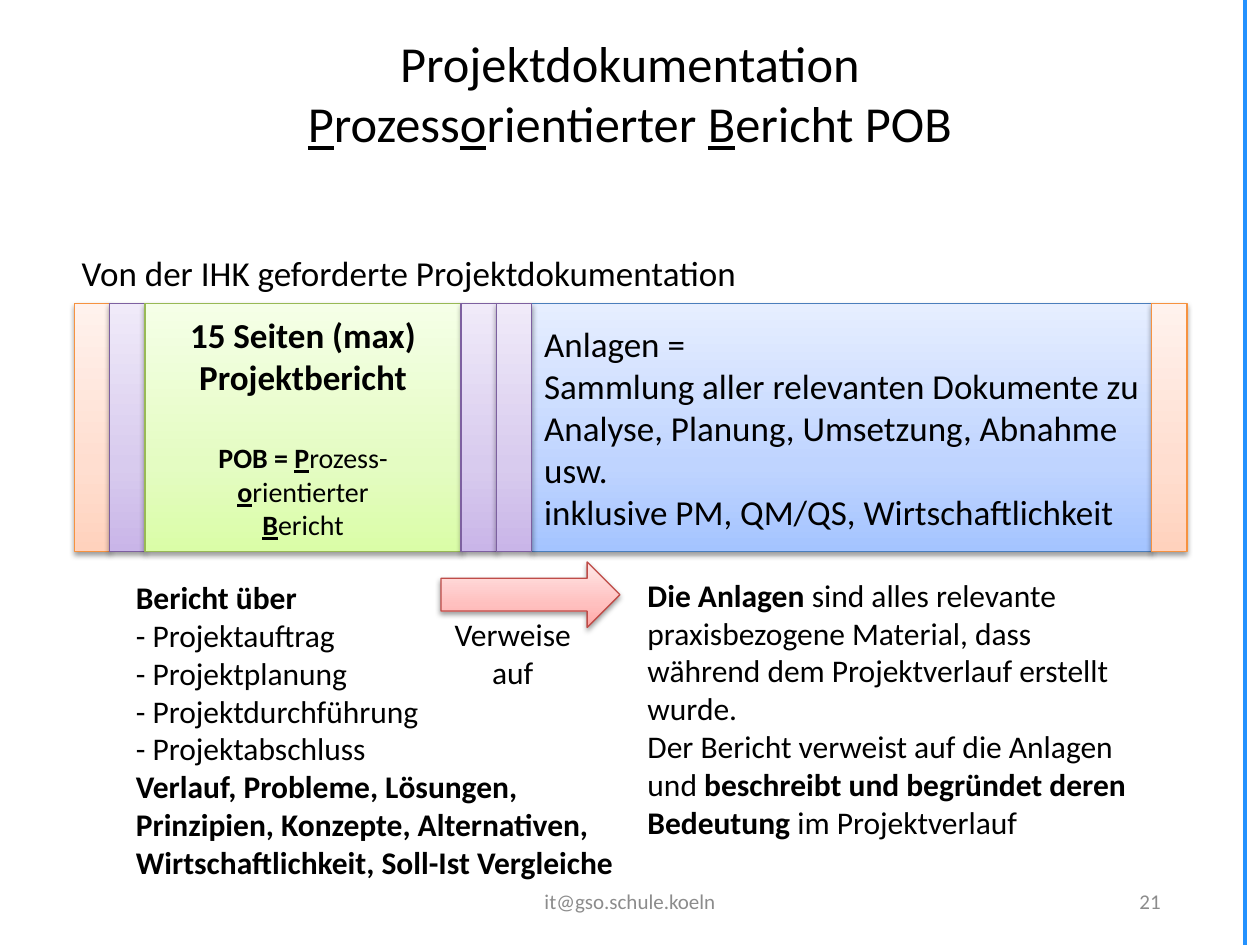
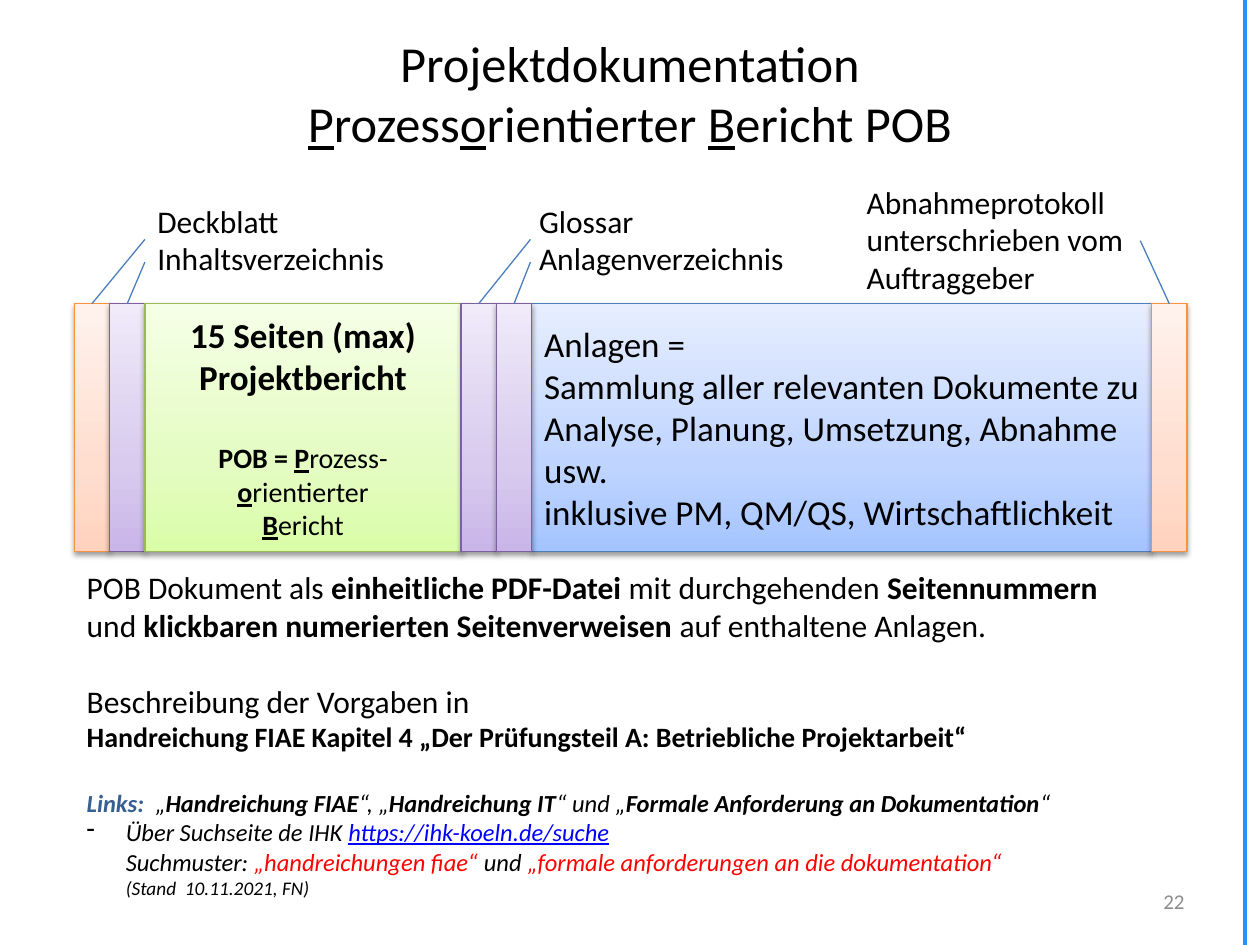
import copy
import itertools

import lxml.etree
import pptx
import pptx.dml.color
import pptx.enum.dml
import pptx.enum.shapes
import pptx.enum.text
import pptx.oxml.ns
import pptx.util

Inches, Pt = pptx.util.Inches, pptx.util.Pt
qn = pptx.oxml.ns.qn
ALIGN = pptx.enum.text.PP_ALIGN
ANCHOR = pptx.enum.text.MSO_ANCHOR
SHAPE = pptx.enum.shapes.MSO_SHAPE

COLORS = {"text": "000000", "footer": "8C8C8C", "edge": "2492FF", "callout": "4B7EBC",
          "heading": "376092", "link": "0000FF", "search": "FF0000"}
GRADIENTS = {
    "blue": ("4B7EBC", "A4C4FF", "BFD4FF", "E6EEFF"),
    "orange": ("F69240", "FFD2BD", "FFDED0", "FFF2ED"),
    "purple": ("7D60A0", "C9B5E8", "D8CBEE", "F0EAF9"),
    "green": ("98B955", "DAFDA7", "E4FCC2", "F5FFE7"),
    "red": ("BF4C48", "FFA6A5", "FFC0BF", "FFE7E7"),
}
STRIP = 0.28
BAR_TOP, BAR_HEIGHT = 2.41, 1.97
TITLE = [("Projektdokumentation\n",), ("P", "u"), ("rozess",), ("o", "u"),
         ("rientierter ",), ("B", "u"), ("ericht POB",)]
REPORT = [
    {"runs": "15 Seiten (max)\nProjektbericht", "bold": True},
    {"runs": [("POB = ", "b"), ("P", "bu"), ("rozess-\n",), ("o", "bu"),
              ("rientierter\n",), ("B", "bu"), ("ericht",)], "size": 16, "before": 24.4},
]
APPENDIX = ["Anlagen =",
            "Sammlung aller relevanten Dokumente zu Analyse, Planung, Umsetzung, Abnahme usw.\n"
            "inklusive PM, QM/QS, Wirtschaftlichkeit"]


def rgb(value):
    """Return a colour from its name or hex string."""
    return pptx.dml.color.RGBColor.from_string(COLORS.get(value, value))


class Deck:
    """Holds the style and the current slide."""

    font = "Calibri"

    def __init__(self):
        """Start an empty 10 by 7.5 inch deck."""
        self.prs = pptx.Presentation()
        self.prs.slide_width, self.prs.slide_height = Inches(10), Inches(7.5)

    def slide(self, number, number_right):
        """Add a slide with edge line, title and page number."""
        self.s = self.prs.slides.add_slide(self.prs.slide_layouts[6])
        self.line((9.88, 7.5), (9.88, 0), "edge", 2.25)
        self.text((0.5, 0.4, 9, 0.67), [TITLE], 28.8, ALIGN.CENTER, anchor=ANCHOR.MIDDLE)
        self.footer((number_right - 2.25, 6.95, 2.25, 0.4), number, ALIGN.RIGHT)

    def footer(self, box, text, align):
        """Add a grey footer text."""
        self.text(box, [text], 12, align, color="footer", anchor=ANCHOR.MIDDLE)

    def text(self, box, paragraphs, size=18, align=None, color="text",
             anchor=ANCHOR.TOP, wrap=True):
        """Add a text box; top-anchored boxes fit their text."""
        sp = self.s.shapes.add_textbox(*map(Inches, box))
        if anchor == ANCHOR.TOP:
            sp.text_frame.auto_size = pptx.enum.text.MSO_AUTO_SIZE.SHAPE_TO_FIT_TEXT
        self.fill_text(sp.text_frame, paragraphs, size, align, color, anchor, wrap)

    def fill_text(self, tf, paragraphs, size, align, color="text",
                  anchor=ANCHOR.MIDDLE, wrap=True):
        """Write paragraphs given as a string, a list of runs or a dict with options."""
        tf.word_wrap, tf.vertical_anchor = wrap, anchor
        for i, item in enumerate(paragraphs):
            opts = item if isinstance(item, dict) else {"runs": item}
            p = tf.add_paragraph() if i else tf.paragraphs[0]
            p.alignment = align or ALIGN.LEFT
            p.font.name, p.font.size = self.font, Pt(opts.get("size", size))
            p.font.color.rgb = rgb(color)
            p.font.bold, p.font.italic = opts.get("bold"), opts.get("italic")
            if "before" in opts:
                p.space_before = Pt(opts["before"])
            if "bullet" in opts:
                self.bullet(p, opts["bullet"])
            runs = opts["runs"]
            for run in [(runs,)] if isinstance(runs, str) else runs:
                self.run(p, *run)

    def run(self, p, text, flags="", color=None, size=None):
        """Add a run; flags are b for bold and u for underlined."""
        for i, part in enumerate(text.split("\n")):
            if i:
                p.add_line_break()
            if not part:
                continue
            r = p.add_run()
            r.text = part
            if "b" in flags:
                r.font.bold = True
            if "u" in flags:
                r.font.underline = True
            if color:
                r.font.color.rgb = rgb(color)
            if size:
                r.font.size = Pt(size)

    def bullet(self, p, char):
        """Give a paragraph a hanging bullet."""
        pPr = p._p.get_or_add_pPr()
        pPr.set("marL", str(Inches(0.31)))
        pPr.set("indent", str(-Inches(0.31)))
        bu = lxml.etree.Element(qn("a:buChar"), char=char)
        pPr.find(qn("a:defRPr")).addprevious(bu)

    def shape(self, kind, box, gradient):
        """Add a shape with a gradient, an outline and a soft shadow."""
        sp = self.s.shapes.add_shape(kind, *map(Inches, box))
        outline, *stops = GRADIENTS[gradient]
        sp.line.color.rgb, sp.line.width = rgb(outline), Pt(0.75)
        sp.fill.gradient()
        sp.fill.gradient_angle = 90
        spPr = sp._element.spPr
        gsLst = spPr.find(".//" + qn("a:gsLst"))
        gsLst.append(copy.deepcopy(gsLst[0]))
        for stop, position, color in zip(sp.fill.gradient_stops, (0, 0.35, 1), stops):
            stop.position, stop.color.rgb = position, rgb(color)
        sp.shadow.inherit = False
        shadow = lxml.etree.SubElement(
            spPr.find(qn("a:effectLst")), qn("a:outerShdw"), blurRad=str(Pt(3.1)),
            dist=str(Pt(1.6)), dir="5400000", rotWithShape="0")
        black = lxml.etree.SubElement(shadow, qn("a:srgbClr"), val=COLORS["text"])
        lxml.etree.SubElement(black, qn("a:alpha"), val="38000")
        return sp

    def line(self, start, end, color="callout", width=0.75, target=None):
        """Add a straight line, joined to the top of a target if given."""
        cxn = self.s.shapes.add_connector(
            pptx.enum.shapes.MSO_CONNECTOR.STRAIGHT, *map(Inches, start + end))
        cxn.line.color.rgb, cxn.line.width = rgb(color), Pt(width)
        lxml.etree.SubElement(cxn._element.spPr, qn("a:effectLst"))
        if target is not None:
            cxn.end_connect(target, 0)

    def document_bar(self):
        """Draw the parts of the document side by side and return them by name."""
        parts = [("cover", STRIP, "orange"), ("contents", STRIP, "purple"),
                 ("report", 2.51, "green"), ("glossary", STRIP, "purple"),
                 ("index", STRIP, "purple"), ("appendix", 4.92, "blue"),
                 ("acceptance", STRIP, "orange")]
        lefts = itertools.accumulate((width for _, width, _ in parts), initial=0.59)
        placed = sorted(zip(parts, lefts), key=lambda item: item[0][0] != "appendix")
        bar = {name: self.shape(SHAPE.RECTANGLE, (left, BAR_TOP, width, BAR_HEIGHT), gradient)
               for (name, width, gradient), left in placed}
        self.fill_text(bar["report"].text_frame, REPORT, 20, ALIGN.CENTER)
        self.fill_text(bar["appendix"].text_frame, APPENDIX, 20, ALIGN.LEFT)
        return bar


def report_slide(deck):
    """Build the slide on report and appendix."""
    deck.slide("21", 9.31)
    deck.footer((3.31, 6.95, 3.38, 0.4), "it@gso.schule.koeln", ALIGN.CENTER)
    deck.document_bar()
    topics = ["Projektauftrag", "Projektplanung", "Projektdurchführung", "Projektabschluss"]
    aspects = ["Verlauf, Probleme, Lösungen,", "Prinzipien, Konzepte, Alternativen,",
               "Wirtschaftlichkeit, Soll-Ist Vergleiche"]
    deck.text((0.98, 4.54, 8.42, 2.52),
              [{"runs": "Bericht über", "bold": True}]
              + ["- " + topic for topic in topics]
              + [{"runs": aspect, "bold": True} for aspect in aspects])
    deck.shape(SHAPE.RIGHT_ARROW, (3.5, 4.46, 1.42, 0.52), "red")
    deck.text((3.5, 4.83, 1.14, 0.71), ["Verweise", "auf"], align=ALIGN.CENTER, wrap=False)
    deck.text((5.04, 4.52, 4.09, 2.22), [
        [("Die Anlagen ", "b"), ("sind alles relevante praxisbezogene Material, dass "
                                 "während dem Projektverlauf erstellt wurde.",)],
        [("Der Bericht verweist auf die Anlagen und ",),
         ("beschreibt und begründet deren Bedeutung", "b"), (" im Projektverlauf",)]])
    deck.text((0.55, 1.95, 8.85, 0.44), ["Von der IHK geforderte Projektdokumentation"], 20)


def parts_slide(deck):
    """Build the slide on the document parts and rules."""
    deck.slide("22", 9.5)
    bar = deck.document_bar()
    deck.text((1.15, 1.55, 2.02, 0.71), ["Deckblatt", "Inhaltsverzeichnis"], wrap=False)
    deck.text((4.18, 1.55, 2.16, 0.71), ["Glossar", "Anlagenverzeichnis"], wrap=False)
    deck.text((6.78, 1.4, 2.26, 1.01),
              ["Abnahmeprotokoll\nunterschrieben vom\nAuftraggeber"], wrap=False)
    for name, start in [("cover", (1.15, 1.9)), ("contents", (1.15, 2.08)),
                        ("glossary", (4.21, 1.9)), ("index", (4.21, 2.08)),
                        ("acceptance", (9.05, 1.91))]:
        deck.line(start, (start[0], BAR_TOP), target=bar[name])
    deck.text((0.59, 4.46, 8.3, 2.74), [
        [("POB Dokument als ",), ("einheitliche PDF-Datei", "b"),
         (" mit durchgehenden ",), ("Seitennummern\n", "b"), ("und ",),
         ("klickbaren numerierten Seitenverweisen", "b"), (" auf enthaltene Anlagen.",)],
        {"runs": [("Beschreibung der Vorgaben in\n",),
                  ("Handreichung FIAE Kapitel 4 „Der Prüfungsteil A: "
                   "Betriebliche Projektarbeit“", "b", None, 16)], "before": 22},
        {"runs": [("Links:  ", "b", "heading"), ("„",), ("Handreichung FIAE", "b"),
                  ("“, „",), ("Handreichung IT", "b"), ("“ und „",),
                  ("Formale Anforderung an Dokumentation", "b"), ("“",)],
         "size": 14, "italic": True, "before": 19.5},
        {"runs": [("Über Suchseite de IHK ",),
                  ("https://ihk-koeln.de/suche\n", "u", "link"), ("Suchmuster: ",),
                  ("„handreichungen fiae“", "", "search"), (" und ",),
                  ("„formale anforderungen an die dokumentation“\n", "", "search"),
                  ("(Stand  10.11.2021, FN)", "", None, 11)],
         "size": 14, "italic": True, "bullet": "-"}], wrap=False)


def main():
    """Build and save the deck."""
    deck = Deck()
    report_slide(deck)
    parts_slide(deck)
    deck.prs.save("out.pptx")


if __name__ == "__main__":
    main()
